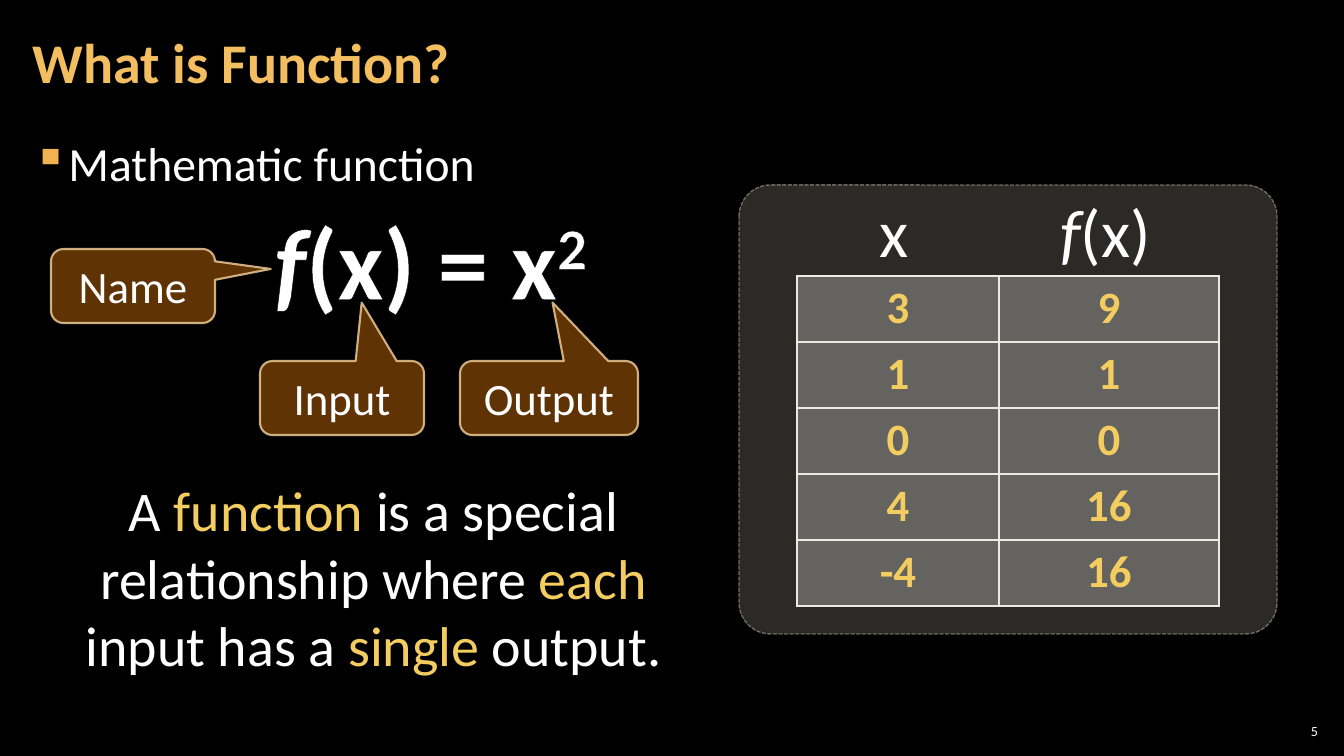
import pptx
import pptx.dml.color
import pptx.enum.dml
import pptx.enum.shapes
import pptx.enum.text
import pptx.oxml
import pptx.oxml.ns
import pptx.util
from lxml import etree

PX = 12192000 / 1344
FONT = "Calibri"
WHITE, GOLD, CREAM = "FFFFFF", "F3CD60", "ECEAE3"
ALIGN = pptx.enum.text.PP_ALIGN
ANCHOR = pptx.enum.text.MSO_ANCHOR
SHAPE = pptx.enum.shapes.MSO_SHAPE
qn = pptx.oxml.ns.qn


def px(*lengths):
    return [pptx.util.Emu(round(length * PX)) for length in lengths]


def rgb(color):
    return pptx.dml.color.RGBColor.from_string(color)


def paint(fill, color, opacity=100):
    """Fill solidly; opacity is a percentage."""
    fill.solid()
    fill.fore_color.rgb = rgb(color)
    if opacity < 100:
        color_node = fill._xPr.find(qn("a:solidFill"))[0]
        etree.SubElement(color_node, qn("a:alpha"), val=str(opacity * 1000))


def style_text(paragraph, size, color=WHITE, bold=False, align=ALIGN.CENTER):
    paragraph.alignment = align
    font = paragraph.font
    font.name, font.size, font.bold = FONT, pptx.util.Pt(size), bold
    font.color.rgb = rgb(color)


def set_margins(frame, side, vertical):
    frame.margin_left, frame.margin_right = px(side, side)
    frame.margin_top, frame.margin_bottom = px(vertical, vertical)


def add_text(slide, box, runs, size, align=ALIGN.CENTER, wrap=True, bold=False):
    """Add a one-paragraph text box; each run is (text, font settings)."""
    frame = slide.shapes.add_textbox(*px(*box)).text_frame
    frame.word_wrap = wrap
    paragraph = frame.paragraphs[0]
    style_text(paragraph, size, bold=bold, align=align)
    for text, settings in runs:
        run = paragraph.add_run()
        run.text = text
        run.font.italic = settings.get("italic")
        if "color" in settings:
            run.font.color.rgb = rgb(settings["color"])
        if "baseline" in settings:
            run.font._element.set("baseline", str(settings["baseline"] * 1000))
    return frame


def add_title(slide, text):
    title = slide.shapes.title
    title.left, title.top, title.width, title.height = px(21, 4, 1055, 122)
    frame = title.text_frame
    frame.text = text
    frame.vertical_anchor = ANCHOR.MIDDLE
    set_margins(frame, 12, 4)
    style_text(frame.paragraphs[0], 40, "F3BE60", True, ALIGN.LEFT)
    frame.paragraphs[0].line_spacing = 0.9


def add_bullet(slide, text):
    frame = add_text(slide, (21, 127, 1301, 614), [(text, {})], 34, ALIGN.LEFT)
    set_margins(frame, 12, 4)
    paragraph = frame.paragraphs[0]
    paragraph.line_spacing = 1.05
    paragraph.space_before = paragraph.space_after = pptx.util.Pt(6)
    properties = paragraph._p.get_or_add_pPr()
    indent = px(33)[0]
    properties.set("marL", str(indent))
    properties.set("indent", str(-indent))
    bullet = pptx.oxml.parse_xml(
        f'<a:pPr {pptx.oxml.ns.nsdecls("a")}><a:buClr><a:srgbClr val="F2B254"/></a:buClr>'
        '<a:buChar char="▪"/></a:pPr>')
    following = properties.find(qn("a:defRPr"))
    for node in list(bullet):
        following.addprevious(node)


def add_formula(slide):
    runs = [("f", {"italic": True}), ("(x) = x", {}), ("2", {"baseline": 30})]
    frame = add_text(slide, (260, 194, 341, 132), runs, 72, wrap=False, bold=True)
    for run in frame.paragraphs[0].runs:
        outline = pptx.oxml.parse_xml(
            f'<a:ln {pptx.oxml.ns.nsdecls("a")} w="9525"><a:solidFill>'
            '<a:srgbClr val="000000"/></a:solidFill></a:ln>')
        run.font._element.insert(0, outline)


def add_panel(slide, kind, box, adjustments, fill, line):
    """Add a filled shape; fill is (color, opacity), line is (color, opacity, points)."""
    shape = slide.shapes.add_shape(kind, *px(*box))
    shape.shadow.inherit = False
    for index, value in enumerate(adjustments):
        shape.adjustments[index] = value
    paint(shape.fill, *fill)
    paint(shape.line.fill, *line[:2])
    shape.line.width = pptx.util.Pt(line[2])
    return shape


def add_callout(slide, text, box, tip):
    shape = add_panel(slide, SHAPE.ROUNDED_RECTANGULAR_CALLOUT, box, (*tip, 0.167),
                      ("663606", 95), ("F8D49E", 80, 1.5))
    frame = shape.text_frame
    frame.text = text
    frame.vertical_anchor = ANCHOR.MIDDLE
    style_text(frame.paragraphs[0], 32)


def add_border(cell, width):
    properties = cell._tc.get_or_add_tcPr()
    for side in ("lnL", "lnR", "lnT", "lnB"):
        line = etree.SubElement(properties, qn(f"a:{side}"), w=str(pptx.util.Pt(width)))
        solid = etree.SubElement(line, qn("a:solidFill"))
        etree.SubElement(solid, qn("a:srgbClr"), val=CREAM)


def add_value_table(slide, values):
    table = slide.shapes.add_table(len(values), 2, *px(797, 276, 422, 330)).table
    table.first_row = table.horz_banding = False
    table.columns[0].width, table.columns[1].width = px(202, 220)
    for row, pair in enumerate(values):
        table.rows[row].height = px(66)[0]
        for column, value in enumerate(pair):
            cell = table.cell(row, column)
            cell.text = str(value)
            style_text(cell.text_frame.paragraphs[0], 32, GOLD, True)
            add_border(cell, 2.25)
            paint(cell.fill, CREAM, 30)


def main():
    presentation = pptx.Presentation()
    presentation.slide_width, presentation.slide_height = px(1344, 756)
    slide = presentation.slides.add_slide(presentation.slide_layouts[5])
    paint(slide.background.fill, "000000")

    number = add_text(slide, (1275, 720, 47, 21), [("5", {})], 10, ALIGN.RIGHT)
    number.vertical_anchor = ANCHOR.MIDDLE
    set_margins(number, 4, 4)
    add_bullet(slide, "Mathematic function")
    add_title(slide, "What is Function?")
    add_formula(slide)

    add_callout(slide, "Name", (51, 249, 164, 74), (0.84, -0.23))
    add_callout(slide, "Input", (260, 361, 164, 74), (0.12, -1.29))
    add_callout(slide, "Output", (460, 361, 178, 74), (0.02, -1.29))

    card = add_panel(slide, SHAPE.ROUNDED_RECTANGLE, (739, 185, 538, 449), (0.07,),
                     ("D9D5C7", 20), ("C7BFAC", 50, 1))
    card.line.dash_style = pptx.enum.dml.MSO_LINE.SQUARE_DOT
    add_value_table(slide, [(x, x ** 2) for x in (3, 1, 0, 4, -4)])
    add_text(slide, (819, 185, 150, 92), [("x", {})], 48)
    add_text(slide, (1024, 185, 163, 92), [("f", {"italic": True}), ("(x)", {})], 48)

    highlight = {"color": GOLD}
    add_text(slide, (59, 471, 629, 214), [
        ("A ", {}), ("function", highlight), (" is a special relationship where ", {}),
        ("each", highlight), (" input has a ", {}), ("single", highlight),
        (" output.", {})], 40)

    presentation.save("out.pptx")


if __name__ == "__main__":
    main()
